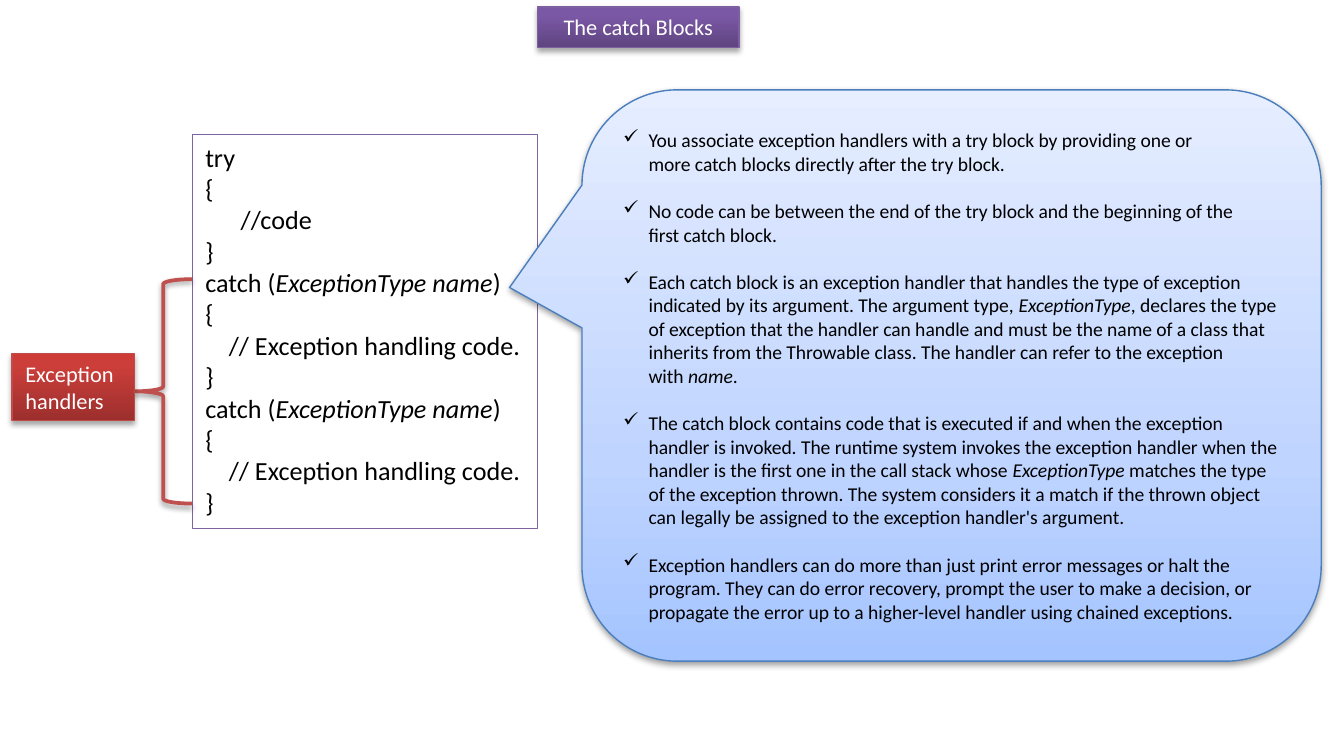
from lxml import etree
from pptx import Presentation
from pptx import util as u
from pptx.dml.color import RGBColor
from pptx.enum import shapes, text
from pptx.oxml import ns

COLORS = {
    "white": "FFFFFF", "black": "000000",
    "title_line": "7D60A0", "code_line": "8064A2", "callout_line": "4B7EBC",
    "brace": "C0504D", "label_line": "BF4C48",
}
# Gradient stops run from the bottom edge to the top edge
GRADIENTS = {
    "purple": [(0, "5F4480"), (80, "7B58A6"), (100, "7C57A8")],
    "blue": [(0, "A4C4FF"), (35, "BFD4FF"), (100, "E6EEFF")],
    "red": [(0, "9C2F2D"), (80, "CB3E3A"), (100, "CE3B37")],
}
FONT = "Calibri"

# In the wording, * switches italics and ~ is a no-break space
CATCH = ["catch (*ExceptionType name*)", "{", "    // Exception handling code.", "}"]
CODE = ["try", "{", "      //code", "}"] + CATCH * 2
POINTS = [
    "You associate exception handlers with a~try~block by providing one or "
    "more~catch~blocks directly after the~try~block.",
    "No code can be between the end of the~try~block and the beginning of the "
    "first~catch~block.",
    "Each~catch~block is an exception handler that handles the type of exception "
    "indicated by its argument. The argument type,~*ExceptionType*, declares the "
    "type of exception that the handler can handle and must be the name of a class "
    "that inherits from the~Throwable~class. The handler can refer to the exception "
    "with~*name*.",
    "The~catch~block contains code that is executed if and when the exception "
    "handler is invoked. The runtime system invokes the exception handler when the "
    "handler is the first one in the call stack whose~*ExceptionType*~matches the "
    "type of the exception thrown. The system considers it a match if the thrown "
    "object can legally be assigned to the exception handler's argument.",
    "Exception handlers can do more than just print error messages or halt the "
    "program. They can do error recovery, prompt the user to make a decision, or "
    "propagate the error up to a higher-level handler using chained exceptions.",
]


def rgb(name):
    return RGBColor.from_string(COLORS[name])


def add_color(parent, value):
    return etree.SubElement(parent, ns.qn("a:srgbClr"), val=value)


def add_box(s, kind, place, line, width):
    sp = s.shapes.add_shape(kind, *[u.Cm(v) for v in place])
    sp.shadow.inherit = False
    sp.fill.background()
    sp.line.color.rgb = rgb(line)
    sp.line.width = u.Pt(width)
    return sp


def set_gradient(sp, name):
    sp.fill.gradient()
    sp.fill.gradient_angle = 90
    stops = sp.element.spPr.find(".//" + ns.qn("a:gsLst"))
    for stop in list(stops):
        stops.remove(stop)
    for position, value in GRADIENTS[name]:
        add_color(etree.SubElement(stops, ns.qn("a:gs"), pos=str(position * 1000)), value)


def set_shadow(sp, alpha, distance):
    effects = sp.element.spPr.find(ns.qn("a:effectLst"))
    shadow = etree.SubElement(
        effects, ns.qn("a:outerShdw"), blurRad=str(u.Pt(3.1)),
        dist=str(u.Pt(distance)), dir="5400000", rotWithShape="0")
    color = add_color(shadow, COLORS["black"])
    etree.SubElement(color, ns.qn("a:alpha"), val=str(alpha * 1000))


def set_bullet(p, indent):
    pPr = p._p.get_or_add_pPr()
    pPr.set("marL", str(indent))
    pPr.set("indent", str(-indent))
    etree.SubElement(pPr, ns.qn("a:buChar"), char="✓")


def write(sp, lines, size, color, align=text.PP_ALIGN.LEFT, wrap=True,
          anchor=text.MSO_ANCHOR.TOP, bullets=False):
    tf = sp.text_frame
    tf.word_wrap = wrap
    tf.vertical_anchor = anchor
    if not bullets:
        tf.auto_size = text.MSO_AUTO_SIZE.SHAPE_TO_FIT_TEXT
    for i, line in enumerate(lines):
        p = tf.add_paragraph() if i else tf.paragraphs[0]
        p.alignment = align
        if bullets:
            if i:
                p.space_before = u.Pt(size * 1.22)
            set_bullet(p, u.Cm(0.48))
        for j, part in enumerate(line.replace("~", chr(160)).split("*")):
            r = p.add_run()
            r.text = part
            r.font.name = FONT
            r.font.size = u.Pt(size)
            r.font.italic = j % 2 == 1
            r.font.color.rgb = rgb(color)


def main():
    prs = Presentation()
    prs.slide_width, prs.slide_height = u.Cm(25.4), u.Cm(13.97)
    s = prs.slides.add_slide(prs.slide_layouts[6])
    kinds = shapes.MSO_SHAPE

    # Title
    title = add_box(s, kinds.RECTANGLE, (10.16, 0.13, 3.81, 0.77), "title_line", 0.75)
    set_gradient(title, "purple")
    set_shadow(title, 35, 1.8)
    write(title, ["The catch Blocks"], 12, "white", align=text.PP_ALIGN.CENTER)

    # Code listing
    code = add_box(s, kinds.RECTANGLE, (3.63, 2.54, 6.53, 7.44), "code_line", 0.25)
    code.fill.solid()
    code.fill.fore_color.rgb = rgb("white")
    write(code, CODE, 14, "black", wrap=False)

    # Callout with the rules for catch blocks
    callout = add_box(s, kinds.ROUNDED_RECTANGULAR_CALLOUT,
                      (11, 1.7, 13.97, 10.8), "callout_line", 0.75)
    for i, value in enumerate((-0.598, -0.154, 0.167)):
        callout.adjustments[i] = value
    set_gradient(callout, "blue")
    set_shadow(callout, 38, 1.6)
    write(callout, POINTS, 10.5, "black", anchor=text.MSO_ANCHOR.MIDDLE, bullets=True)

    # Brace and label for the handlers
    brace = add_box(s, kinds.LEFT_BRACE, (2.54, 5.28, 1.09, 4.24), "brace", 2)
    set_shadow(brace, 38, 1.6)
    label = add_box(s, kinds.RECTANGLE, (0.23, 6.68, 2.31, 1.27), "label_line", 0.75)
    set_gradient(label, "red")
    set_shadow(label, 35, 1.8)
    write(label, ["Exception", "handlers"], 12, "white", wrap=False)

    prs.save("out.pptx")


if __name__ == "__main__":
    main()
